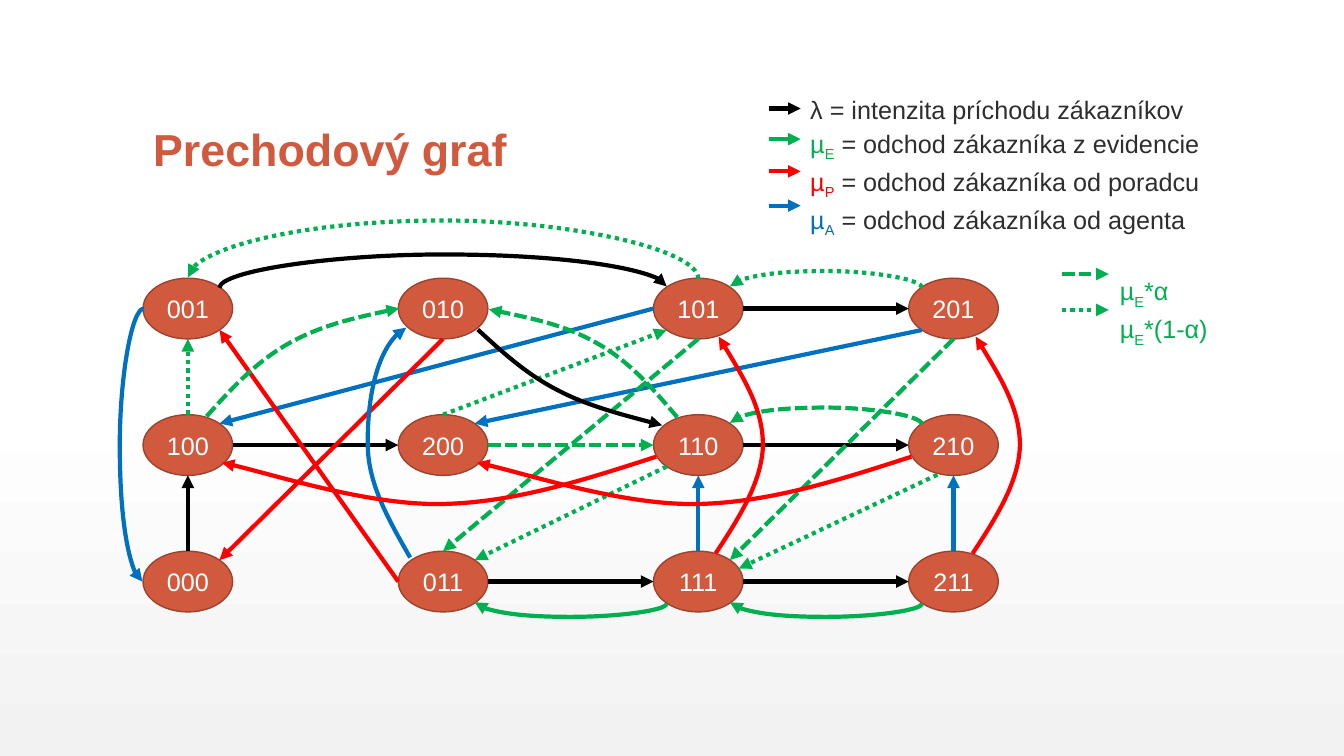
from dataclasses import dataclass
from math import cos, radians, sin

from lxml import etree
from pptx import Presentation
from pptx import util as u
from pptx.dml.color import RGBColor
from pptx.enum import dml, shapes, text
from pptx.oxml.ns import qn


@dataclass(frozen=True)
class Theme:
    font: str = "Arial"
    title_size: float = 32
    body_size: float = 18
    edge_width: float = 3
    accent: str = "D15A3E"
    outline: str = "9B432E"
    ink: str = "2D2E2D"
    white: str = "FFFFFF"
    shade: str = "F2F2F2"
    arrival: str = "000000"
    registry: str = "00B050"
    adviser: str = "FF0000"
    agent: str = "0070C0"


THEME = Theme()
DASH = dml.MSO_LINE.SQUARE_DOT
DOT = dml.MSO_LINE.ROUND_DOT
SIDES = ["N", "NW", "W", "SW", "S", "SE", "E", "NE"]
UP, LEFT = 270, 180


def rgb(value):
    return RGBColor.from_string(value)


def write(paragraph, content, size=THEME.body_size, color=THEME.ink, bold=False,
          align=text.PP_ALIGN.LEFT, spacing=None, subscript=False):
    paragraph.alignment = align
    if spacing:
        paragraph.line_spacing = spacing
    run = paragraph.add_run()
    run.text = content
    run.font.name = THEME.font
    run.font.size = u.Pt(size)
    run.font.bold = bold
    run.font.color.rgb = rgb(color)
    if subscript:
        run.font._element.set("baseline", "-25000")


class GraphSlide:
    state_width, state_height = 64, 43.4

    def __init__(self, deck, theme):
        self.theme = theme
        self.slide = deck.slides.add_slide(deck.slide_layouts[5])
        self.states = {}
        backdrop = self.slide.background.fill
        backdrop.gradient()
        backdrop.gradient_angle = 270
        for stop, position, color in zip(backdrop.gradient_stops, (0.53, 1), (theme.white, theme.shade)):
            stop.position = position
            stop.color.rgb = rgb(color)

    def title(self, content, left, top, width, height):
        heading = self.slide.shapes.title
        heading.left, heading.top, heading.width, heading.height = map(u.Pt, (left, top, width, height))
        frame = heading.text_frame
        frame.vertical_anchor = text.MSO_ANCHOR.BOTTOM
        frame.auto_size = text.MSO_AUTO_SIZE.NONE
        write(frame.paragraphs[0], content, size=self.theme.title_size,
              color=self.theme.accent, bold=True, spacing=0.9)

    def state(self, code, x, y):
        width, height = self.state_width, self.state_height
        node = self.slide.shapes.add_shape(
            shapes.MSO_SHAPE.OVAL, u.Pt(x - width / 2), u.Pt(y - height / 2), u.Pt(width), u.Pt(height))
        node.shadow.inherit = False
        node.fill.solid()
        node.fill.fore_color.rgb = rgb(self.theme.accent)
        node.line.color.rgb = rgb(self.theme.outline)
        node.line.width = u.Pt(1)
        frame = node.text_frame
        frame.margin_left = frame.margin_right = frame.margin_top = frame.margin_bottom = 0
        frame.vertical_anchor = text.MSO_ANCHOR.MIDDLE
        write(frame.paragraphs[0], code, color=self.theme.white, align=text.PP_ALIGN.CENTER)
        self.states[code] = node, x, y

    def port(self, code, side):
        node, x, y = self.states[code]
        angle = radians(45 * SIDES.index(side))
        return x - sin(angle) * self.state_width / 2, y - cos(angle) * self.state_height / 2

    def stroke(self, edge, color, dash):
        edge.line.color.rgb = rgb(color)
        edge.line.width = u.Pt(self.theme.edge_width)
        if dash:
            edge.line.dash_style = dash
        outline = edge.element.spPr.find(qn("a:ln"))
        etree.SubElement(outline, qn("a:tailEnd"), type="triangle")

    def arrow(self, start, end, color, dash=None, kind=shapes.MSO_CONNECTOR.STRAIGHT):
        edge = self.slide.shapes.add_connector(kind, *map(u.Pt, (*start, *end)))
        self.stroke(edge, color, dash)
        etree.SubElement(edge.element.spPr, qn("a:effectLst"))
        return edge

    def glue(self, edge, origin, target):
        links = edge.element.nvCxnSpPr.cNvCxnSpPr
        for link, (code, side) in ((links.get_or_add_stCxn(), origin), (links.get_or_add_endCxn(), target)):
            link.id = self.states[code][0].shape_id
            link.idx = SIDES.index(side)

    def link(self, origin, target, color, dash=None):
        edge = self.arrow(self.port(*origin), self.port(*target), color, dash)
        self.glue(edge, origin, target)

    def bow(self, origin, target, reach, color, dash=None, heading=UP):
        (x1, y1), (x2, y2) = self.port(*origin), self.port(*target)
        edge = self.arrow((x1, y1), (x2, y2), color, dash, shapes.MSO_CONNECTOR.CURVE)
        span = abs(x2 - x1) + abs(y2 - y1)
        edge.left, edge.top = u.Pt((x1 + x2 - 1) / 2), u.Pt((y1 + y2 - span) / 2)
        edge.width, edge.height = u.Pt(1), u.Pt(span)
        frame = edge.element.spPr.xfrm
        frame.rot = heading
        frame.flipH = False
        frame.flipV = heading == LEFT or x2 < x1
        guides = edge.element.spPr.prstGeom.get_or_add_avLst()
        etree.SubElement(guides, qn("a:gd"), name="adj1", fmla=f"val {round(reach * 100000)}")
        self.glue(edge, origin, target)

    def curve(self, points, color, dash=None, shift=0):
        start, *rest = [(u.Pt(x + shift), u.Pt(y)) for x, y in points]
        builder = self.slide.shapes.build_freeform(*start)
        builder.add_line_segments(rest, close=False)
        edge = builder.convert_to_shape()
        edge.shadow.inherit = False
        edge.fill.background()
        self.stroke(edge, color, dash)
        segments = list(edge.element.iter(qn("a:lnTo")))
        for first in range(0, len(segments), 3):
            bezier = etree.Element(qn("a:cubicBezTo"))
            segments[first].addprevious(bezier)
            for segment in segments[first:first + 3]:
                bezier.append(segment[0])
                segment.getparent().remove(segment)

    def legend(self, rows, left, top, width, height):
        frame = self.slide.shapes.add_textbox(*map(u.Pt, (left, top, width, height))).text_frame
        frame.word_wrap = True
        for index, (symbol, suffix, meaning, color, rest_color) in enumerate(rows):
            row = frame.add_paragraph() if index else frame.paragraphs[0]
            write(row, symbol, color=color, spacing=1.1)
            if suffix:
                write(row, suffix, color=color, subscript=True)
            write(row, meaning, color=rest_color)


deck = Presentation()
deck.slide_width, deck.slide_height = u.Pt(960), u.Pt(540)
graph = GraphSlide(deck, THEME)
graph.title("Prechodový graf", 102.2, 39.6, 756, 90)

black, green, red, blue = THEME.arrival, THEME.registry, THEME.adviser, THEME.agent
column_gap, row_gap = 182.3, 97.5
for row, codes in enumerate(("001 010 101 201", "100 200 110 210", "000 011 111 211")):
    for column, code in enumerate(codes.split()):
        graph.state(code, 134.2 + column * column_gap, 220.4 + row * row_gap)

for color, dash, routes in (
    (black, None, "000 N 100 S, 100 E 200 W, 011 E 111 W, 111 E 211 W, 110 E 210 W, 101 E 201 W"),
    (blue, None, "101 W 100 NE, 201 SW 200 NE, 111 N 110 S, 211 N 210 S"),
    (green, DOT, "100 N 001 S, 200 N 101 SW, 110 SW 011 NE"),
    (green, DASH, "200 E 110 W, 101 S 011 N, 201 S 111 NE"),
    (red, None, "011 W 001 SE, 010 S 000 NE"),
):
    for route in routes.split(", "):
        origin, exit_side, target, entry_side = route.split()
        graph.link((origin, exit_side), (target, entry_side), color, dash)
graph.arrow((669.6, 339.1), (527.8, 406.1), green, DOT)

graph.bow(("001", "NE"), ("101", "NW"), 24, black)
graph.bow(("001", "W"), ("000", "W"), 17.3, blue, heading=LEFT)
graph.bow(("210", "NW"), ("110", "NE"), 12, green, DASH)
graph.bow(("201", "NW"), ("101", "NE"), 12, green, DOT)
graph.bow(("101", "N"), ("001", "N"), 42, green, DOT)
graph.bow(("111", "SW"), ("011", "SE"), -9.5, green)
graph.bow(("211", "SW"), ("111", "SE"), -9.5, green)

graph.curve([(293, 398.2), (278.6, 373), (263.5, 347), (262.8, 319.7),
             (262.1, 292.3), (267.8, 246.2), (290.2, 234)], blue)
for shift in (0, column_gap):
    graph.curve([(468.7, 326.2), (417.6, 342.7), (366.5, 359.3), (314.6, 360),
                 (262.8, 360.7), (184.3, 335.5), (158.4, 330.5)], red, shift=shift)
    graph.curve([(511.2, 395.3), (527.8, 370.1), (544.3, 344.2), (545, 318.2),
                 (545, 292.3), (529.2, 266.4), (513.4, 240.5)], red, shift=shift * 1.007)
graph.curve([(147.6, 297.4), (164.9, 277.9), (182.9, 258.5), (205.9, 245.5),
             (229, 232.6), (257, 226.1), (285.1, 220.3)], green, DASH)
graph.curve([(341.3, 235.4), (358.6, 251.3), (375.8, 267.1), (398.2, 278.6),
             (419.8, 290.2), (460.1, 300.2), (473, 303.8)], black)
graph.curve([(483.8, 298.1), (466.6, 277.9), (450, 258.5), (427, 245.5),
             (404.6, 232.6), (377.3, 226.8), (349.2, 221)], green, DASH)

graph.legend([
    ("λ", "", " = intenzita príchodu zákazníkov", THEME.ink, THEME.ink),
    ("µ", "E", " = odchod zákazníka z evidencie", green, THEME.ink),
    ("µ", "P", " = odchod zákazníka od poradcu", red, THEME.ink),
    ("µ", "A", " = odchod zákazníka od agenta", blue, THEME.ink),
], 571.7, 61.9, 333, 112)
graph.legend([("µ", "E", "*α", green, green), ("µ", "E", "*(1-α)", green, green)], 792.8, 191, 110, 62)
for left, width, y, color, dash in (
    (549.4, 22.5, 77.5, black, None), (549.4, 22.5, 99.4, green, None),
    (549.4, 22.5, 122.4, red, None), (549.4, 22.5, 146.9, blue, None),
    (758.5, 33.5, 195.8, green, DASH), (758.5, 33.5, 221.4, green, DOT),
):
    graph.arrow((left, y), (left + width, y), color, dash)

deck.save("out.pptx")
